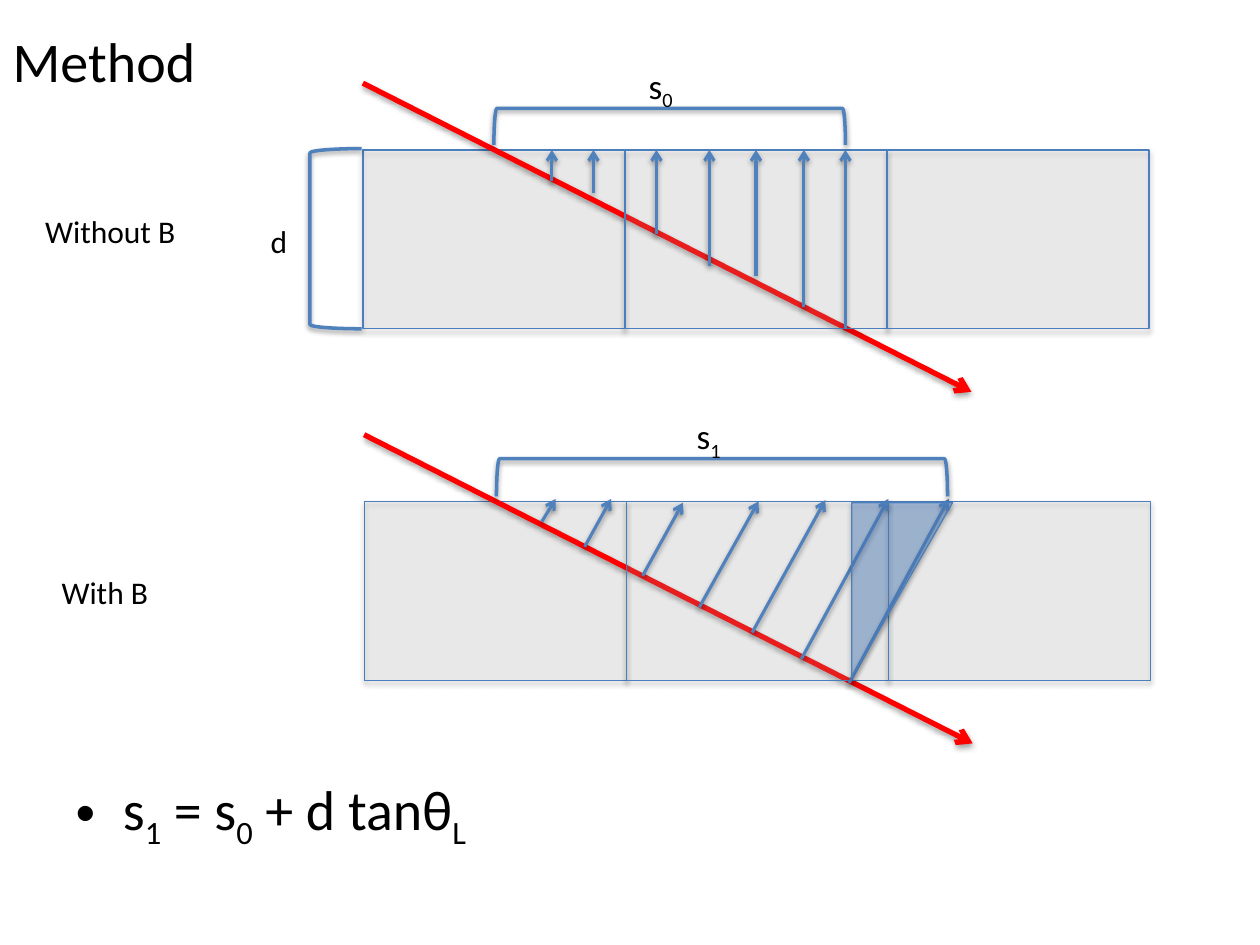
"""Build a slide comparing charge drift in a pixel sensor without and with a magnetic field."""
from dataclasses import dataclass
from typing import NamedTuple

from lxml.etree import SubElement
from pptx import Presentation
from pptx.dml.color import RGBColor
from pptx.enum.shapes import MSO_CONNECTOR as Connector
from pptx.enum.shapes import MSO_SHAPE as Shape
from pptx.enum.text import MSO_AUTO_SIZE as AutoSize
from pptx.enum.text import MSO_VERTICAL_ANCHOR as Anchor
from pptx.enum.text import PP_ALIGN as Align
from pptx.oxml.ns import qn
from pptx.util import Inches, Pt

FONT = "Calibri"
BLACK, RED, BLUE, OUTLINE = "000000", "FF0000", "4F81BD", "4B7EBC"
GREY, TRIANGLE_BLUE = "BFBFBF", "558ED5"
PIXEL_WIDTH, PIXEL_HEIGHT, PIXEL_COUNT = 2.08, 1.42, 3
RAY_RISE, RAY_RUN, RAY_DROP = 0.53, 4.83, 1.92


class Box(NamedTuple):
    left: float
    top: float
    width: float
    height: float


class Drift(NamedTuple):
    start_x: float
    start_y: float
    end_x: float
    end_y: float


@dataclass
class Sensor:
    left: float
    top: float
    drifts: list[Drift]
    bracket: Box
    label: str
    label_box: Box


WITHOUT_FIELD = Sensor(
    2.88, 1.19,
    [Drift(x, y, x, 1.19) for x, y in (
        (4.38, 1.44), (4.71, 1.53), (5.21, 1.86), (5.63, 2.11),
        (6, 2.19), (6.38, 2.44), (6.71, 2.61))],
    Box(5.17, -0.39, 0.29, 2.79), "s_0", Box(5.05, 0.46, 0.75, 0.44))
WITH_FIELD = Sensor(
    2.89, 3.98,
    [Drift(4.3, 4.14, 4.41, 3.96), Drift(4.64, 4.34, 4.85, 3.96),
     Drift(5.1, 4.57, 5.42, 3.99), Drift(5.55, 4.82, 6.02, 3.98),
     Drift(5.97, 5.02, 6.55, 3.97), Drift(6.36, 5.23, 7.05, 3.96),
     Drift(6.74, 5.42, 7.53, 3.96)],
    Box(5.58, 2, 0.3, 3.58), "s_1", Box(5.43, 3.24, 0.69, 0.44))


def color(value: str) -> RGBColor:
    return RGBColor.from_string(value)


def lengths(*values: float) -> list[Inches]:
    return [Inches(value) for value in values]


def add_shadow(shape, distance: float, opacity: int) -> None:
    effects = SubElement(shape._element.spPr, qn("a:effectLst"))
    shadow = SubElement(effects, qn("a:outerShdw"), blurRad=str(Pt(3.1)),
                        dist=str(Pt(distance)), dir="5400000", rotWithShape="0")
    tint = SubElement(shadow, qn("a:srgbClr"), val=BLACK)
    SubElement(tint, qn("a:alpha"), val=str(opacity * 1000))


def set_line(shape, line_color: str, width: float) -> None:
    shape.line.color.rgb = color(line_color)
    shape.line.width = Pt(width)


def add_filled(shapes, kind: Shape, box: Box, fill: str, opacity: int):
    shape = shapes.add_shape(kind, *lengths(*box))
    shape.fill.solid()
    shape.fill.fore_color.rgb = color(fill)
    tint = shape._element.spPr.find(".//" + qn("a:srgbClr"))
    SubElement(tint, qn("a:alpha"), val=str(opacity * 1000))
    set_line(shape, OUTLINE, 0.75)
    add_shadow(shape, 1.8, 35)
    return shape


def add_bracket(shapes, box: Box, rotation: int = 0) -> None:
    bracket = shapes.add_shape(Shape.LEFT_BRACKET, *lengths(*box))
    bracket.rotation = rotation
    bracket.fill.background()
    set_line(bracket, BLUE, 2)
    add_shadow(bracket, 1.6, 38)


def add_arrow(shapes, ends: Drift, line_color: str, width: float) -> None:
    arrow = shapes.add_connector(Connector.STRAIGHT, *lengths(*ends))
    set_line(arrow, line_color, width)
    SubElement(arrow.line._get_or_add_ln(), qn("a:tailEnd"), type="arrow")
    add_shadow(arrow, 1.6, 38)


def write(text_frame, text: str, size: int) -> None:
    """Write text in which underscores switch subscript on and off."""
    paragraph = text_frame.paragraphs[0]
    paragraph.alignment = Align.LEFT
    for index, part in enumerate(text.split("_")):
        run = paragraph.add_run()
        run.text = part
        run.font.name = FONT
        run.font.size = Pt(size)
        run.font.color.rgb = color(BLACK)
        if index % 2:
            run.font._element.set("baseline", "-25000")


def add_label(shapes, text: str, box: Box, size: int = 18) -> None:
    text_frame = shapes.add_textbox(*lengths(*box)).text_frame
    text_frame.word_wrap = True
    text_frame.auto_size = AutoSize.SHAPE_TO_FIT_TEXT
    write(text_frame, text, size)


def fill_placeholder(placeholder, text: str, box: Box) -> None:
    placeholder.left, placeholder.top, placeholder.width, placeholder.height = lengths(*box)
    write(placeholder.text_frame, text, 32)


def add_sensor(slide, sensor: Sensor):
    shapes = slide.shapes.add_group_shape().shapes
    ray = Drift(sensor.left, sensor.top - RAY_RISE,
                sensor.left + RAY_RUN, sensor.top + RAY_DROP)
    for index in range(PIXEL_COUNT):
        pixel = Box(sensor.left + index * PIXEL_WIDTH, sensor.top, PIXEL_WIDTH, PIXEL_HEIGHT)
        add_filled(shapes, Shape.RECTANGLE, pixel, GREY, 16)
        if index == 0:
            add_arrow(shapes, ray, RED, 3)
    for drift in sensor.drifts:
        add_arrow(shapes, drift, BLUE, 1.75)
    add_bracket(shapes, sensor.bracket, 90)
    add_label(shapes, sensor.label, sensor.label_box, 20)
    return shapes


def main() -> None:
    presentation = Presentation()
    presentation.slide_width, presentation.slide_height = lengths(10, 7.5)
    slide = presentation.slides.add_slide(presentation.slide_layouts[1])
    title, body = slide.placeholders
    fill_placeholder(title, "Method", Box(0, 0, 9, 0.95))
    title.text_frame.vertical_anchor = Anchor.MIDDLE
    fill_placeholder(body, "s_1_ = s_0_ + d tanθ_L", Box(0.5, 6.1, 9, 1.2))

    add_sensor(slide, WITHOUT_FIELD)
    add_label(slide.shapes, "Without B", Box(0.26, 1.63, 2.25, 0.4))
    add_label(slide.shapes, "With B", Box(0.39, 4.5, 1.22, 0.4))
    add_bracket(slide.shapes, Box(2.46, 1.18, 0.41, 1.43))
    add_label(slide.shapes, "d", Box(2.05, 1.71, 0.47, 0.4))

    shapes = add_sensor(slide, WITH_FIELD)
    triangle = add_filled(shapes, Shape.RIGHT_TRIANGLE, Box(6.76, 3.99, 0.8, 1.39),
                          TRIANGLE_BLUE, 39)
    triangle.rotation = 180
    triangle._element.spPr.find(qn("a:xfrm")).set("flipH", "1")
    presentation.save("out.pptx")


if __name__ == "__main__":
    main()
